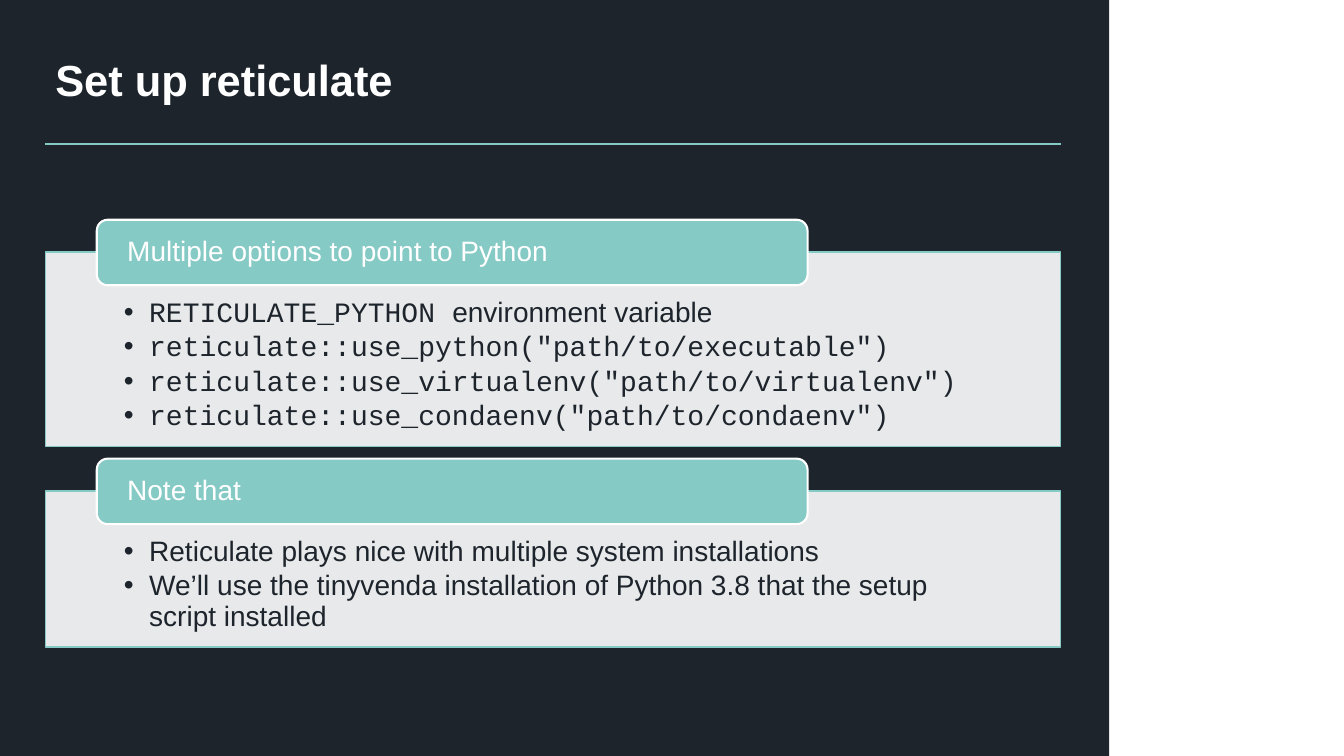
import pptx
import pptx.dml.color
import pptx.enum.shapes
import pptx.enum.text
import pptx.oxml.ns
import pptx.util

Inches = pptx.util.Inches
Pt = pptx.util.Pt
RGBColor = pptx.dml.color.RGBColor
Shape = pptx.enum.shapes.MSO_SHAPE
Anchor = pptx.enum.text.MSO_ANCHOR
Align = pptx.enum.text.PP_ALIGN
qn = pptx.oxml.ns.qn

DARK = RGBColor(0x1D, 0x24, 0x2C)
TEAL = RGBColor(0x86, 0xCA, 0xC6)
WHITE = RGBColor(0xFF, 0xFF, 0xFF)
SANS = "Arial"
MONO = "Courier New"
LEFT, WIDTH = 0.45, 10.07

CARDS = [
    (2.5, 1.93, "Multiple options to point to Python", [
        [("RETICULATE_PYTHON ", MONO), ("environment variable", SANS)],
        [('reticulate::use_python("path/to/executable")', MONO)],
        [('reticulate::use_virtualenv("path/to/virtualenv")', MONO)],
        [('reticulate::use_condaenv("path/to/condaenv")', MONO)],
    ]),
    (4.87, 1.55, "Note that", [
        [("Reticulate plays nice with multiple system installations", SANS)],
        [("We’ll use the tinyvenda installation of Python 3.8 that the setup "
          "script installed", SANS)],
    ]),
]


def add_node(parent, tag, **attrs):
    """Append a drawing element to its parent."""
    parent.append(parent.makeelement(qn(tag), attrs))


def add_box(slide, kind, box, fill, line=None, weight=1):
    """Add a preset shape with a flat fill and an optional outline."""
    shape = slide.shapes.add_shape(kind, *map(Inches, box))
    shape.shadow.inherit = False
    shape.fill.solid()
    shape.fill.fore_color.rgb = fill
    if line is None:
        shape.line.fill.background()
    else:
        shape.line.color.rgb = line
        shape.line.width = Pt(weight)
    return shape


def set_frame(shape, anchor, side, top=0, bottom=0):
    """Set wrapping, anchor and insets, and return the text frame."""
    frame = shape.text_frame
    frame.word_wrap = True
    frame.vertical_anchor = anchor
    frame.margin_left = frame.margin_right = Inches(side)
    frame.margin_top, frame.margin_bottom = Inches(top), Inches(bottom)
    return frame


def add_runs(para, runs, size, color, bold=False):
    """Fill a left-aligned paragraph run by run."""
    para.alignment = Align.LEFT
    para.line_spacing = 0.9
    for text, font in runs:
        run = para.add_run()
        run.text = text
        run.font.name = font
        run.font.size = Pt(size)
        run.font.bold = bold
        run.font.color.rgb = color


def add_bullet(para):
    """Give a paragraph a hanging round bullet."""
    para.space_after = Pt(3)
    props = para._p.get_or_add_pPr()
    props.set("marL", str(Inches(0.25)))
    props.set("indent", str(-Inches(0.25)))
    add_node(props, "a:buFont", typeface=SANS)
    add_node(props, "a:buChar", char="•")


def add_card(slide, top, height, label, items):
    """Add a bulleted panel with a label tab across its top edge."""
    panel = add_box(slide, Shape.RECTANGLE, (LEFT, top, WIDTH, height), WHITE, TEAL)
    tint = panel._element.spPr.find(qn("a:solidFill"))[0]
    add_node(tint, "a:alpha", val="90000")
    frame = set_frame(panel, Anchor.TOP, 0.78, 0.46, 0.16)
    for i, runs in enumerate(items):
        para = frame.add_paragraph() if i else frame.paragraphs[0]
        add_runs(para, runs, 20, DARK)
        add_bullet(para)
    tab = add_box(slide, Shape.ROUNDED_RECTANGLE,
                  (0.96, top - 0.32, 7.05, 0.65), TEAL, WHITE, 1.5)
    frame = set_frame(tab, Anchor.MIDDLE, 0.27)
    add_runs(frame.paragraphs[0], [(label, SANS)], 20, WHITE)


def add_title(slide, text):
    """Add the slide title and the rule below it."""
    rule = slide.shapes.add_connector(
        pptx.enum.shapes.MSO_CONNECTOR.STRAIGHT,
        Inches(LEFT), Inches(1.43), Inches(LEFT + WIDTH), Inches(1.43))
    rule.line.color.rgb = TEAL
    rule.line.width = Pt(1)
    add_node(rule._element.spPr, "a:effectLst")
    box = slide.shapes.add_textbox(*map(Inches, (LEFT, 0.53, WIDTH, 0.58)))
    frame = set_frame(box, Anchor.MIDDLE, 0.1)
    add_runs(frame.paragraphs[0], [(text, SANS)], 31, WHITE, True)


def main():
    """Build and save the slide."""
    deck = pptx.Presentation()
    deck.slide_width, deck.slide_height = Inches(13.33), Inches(7.5)
    slide = deck.slides.add_slide(deck.slide_layouts[6])
    add_box(slide, Shape.RECTANGLE, (0, 0, 11, 7.5), DARK)
    add_title(slide, "Set up reticulate")
    for card in CARDS:
        add_card(slide, *card)
    deck.save("out.pptx")


if __name__ == "__main__":
    main()
